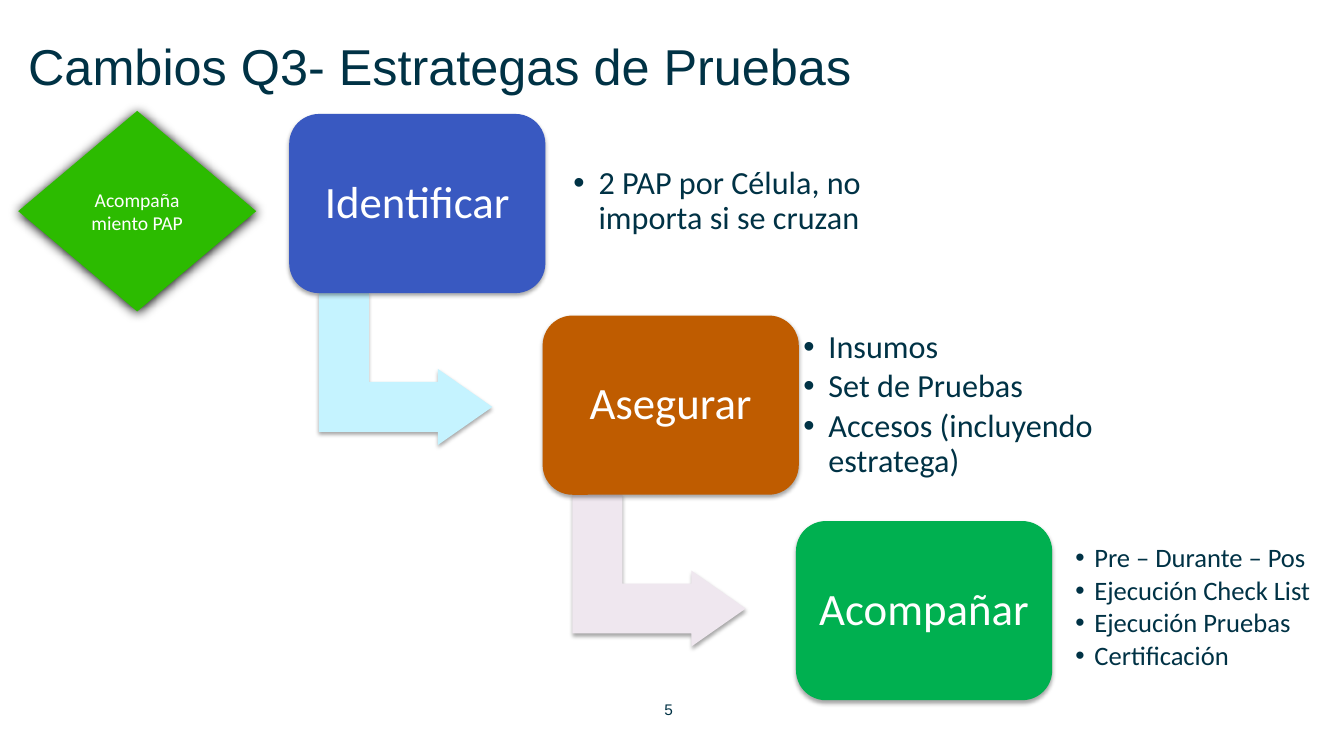
from lxml import etree
from pptx import Presentation
from pptx import util as u
from pptx.dml.color import RGBColor
from pptx.enum import shapes, text
from pptx.oxml.ns import qn

COLORS = {"ink": "003245", "white": "FFFFFF", "black": "000000", "diamond": "2CBB00",
          "blue": "3959C1", "orange": "BF5C00", "green": "00B050",
          "pale_blue": "C5F3FF", "pale_mauve": "EFE7EF"}
MID = text.MSO_ANCHOR.MIDDLE
CENTER = text.PP_ALIGN.CENTER
SHAPE = shapes.MSO_SHAPE


def write(tf, lines, size, font="Calibri", color="ink", align=None, anchor=MID,
          inset=(7.2, 3.6), wrap=True, spacing=None, after=0, bullet=0):
    """Fill a text frame with one paragraph per line; bullet is the hanging indent."""
    tf.word_wrap, tf.vertical_anchor = wrap, anchor
    tf.margin_left = tf.margin_right = u.Pt(inset[0])
    tf.margin_top = tf.margin_bottom = u.Pt(inset[1])
    for i, line in enumerate(lines):
        p = tf.add_paragraph() if i else tf.paragraphs[0]
        p.alignment, p.line_spacing, p.space_after = align, spacing, u.Pt(after)
        r = p.add_run()
        r.text = line
        r.font.size, r.font.name = u.Pt(size), font
        r.font.color.rgb = RGBColor.from_string(COLORS[color])
        if bullet:
            pPr = p._p.get_or_add_pPr()
            pPr.set("marL", str(u.Pt(bullet)))
            pPr.set("indent", str(-u.Pt(bullet)))
            etree.SubElement(pPr, qn("a:buFont"), typeface="Arial")
            etree.SubElement(pPr, qn("a:buChar"), char="•")


class Deck:
    SOFT = (35, 3.1, 1.8)  # shadow opacity in percent, blur, distance
    STRONG = (100, 8.5, 1)

    def __init__(self, width, height):
        self.prs = Presentation()
        self.prs.slide_width, self.prs.slide_height = u.Pt(width), u.Pt(height)
        self.s = self.prs.slides.add_slide(self.prs.slide_layouts[6])

    def label(self, box, lines, size, **fmt):
        sp = self.s.shapes.add_textbox(*map(u.Pt, box))
        write(sp.text_frame, lines, size, **fmt)

    def shape(self, kind, box, fill, shadow=SOFT, adj=(), rotation=0):
        sp = self.s.shapes.add_shape(kind, *map(u.Pt, box))
        sp.rotation = rotation
        for i, value in enumerate(adj):
            sp.adjustments[i] = value
        sp.fill.solid()
        sp.fill.fore_color.rgb = RGBColor.from_string(COLORS[fill])
        sp.line.fill.background()
        sp.shadow.inherit = False
        self.drop_shadow(sp, *shadow)
        return sp

    def drop_shadow(self, sp, opacity, blur, dist):
        effects = sp._element.spPr.find(qn("a:effectLst"))
        outer = etree.SubElement(effects, qn("a:outerShdw"), blurRad=str(u.Pt(blur)),
                                 dist=str(u.Pt(dist)), dir="5400000", rotWithShape="0")
        clr = etree.SubElement(outer, qn("a:srgbClr"), val=COLORS["black"])
        etree.SubElement(clr, qn("a:alpha"), val=str(opacity * 1000))

    def step(self, x, y, name, fill, arrow):
        """Rounded box, with a bent arrow from under it to the next step."""
        if arrow:
            self.shape(SHAPE.BENT_UP_ARROW, (x + 28.8, y + 120.2, 108.7, 123.8), arrow,
                       adj=(0.328, 0.25, 0.358), rotation=90)
        sp = self.shape(SHAPE.ROUNDED_RECTANGLE, (x, y, 183, 128), fill, adj=(0.167,))
        write(sp.text_frame, [name], 32, color="white", align=CENTER, spacing=0.9)

    def bullets(self, box, lines, size, inset, indent):
        self.label(box, lines, size, inset=(inset, inset), spacing=0.9,
                   after=round(size * 0.15, 1), bullet=indent)


deck = Deck(960, 540)

# Title, page number and topic
deck.label((474.5, 500.4, 22.3, 13.7), ["5"], 11, font="Arial", inset=(0, 0),
           wrap=False, anchor=text.MSO_ANCHOR.TOP)
deck.label((13, 13.7, 903, 65.5), ["Cambios Q3- Estrategas de Pruebas"], 36, font="Arial")
topic = deck.shape(SHAPE.DIAMOND, (13, 79.2, 170, 143.3), "diamond", shadow=Deck.STRONG)
write(topic.text_frame, ["Acompañamiento PAP"], 14, color="white", align=CENTER)

# Staircase: y, name, fill, arrow, then bullet box, lines, size, inset, indent
STEPS = [
    (81.4, "Identificar", "blue", "pale_blue", (401, 92.2, 256.3, 103.7),
     ["2 PAP por Célula, no importa si se cruzan"], 23, 8.6, 18),
    (225.4, "Asegurar", "orange", "pale_mauve", (565.2, 225.4, 290.9, 127.4),
     ["Insumos", "Set de Pruebas", "Accesos (incluyendo estratega)"], 23, 8.6, 18),
    (372.2, "Acompañar", "green", None, (761, 366.5, 187.2, 135.4),
     ["Pre – Durante – Pos", "Ejecución Check List", "Ejecución Pruebas",
      "Certificación"], 19, 7.2, 13.7),
]
for i, (y, name, fill, arrow, *details) in enumerate(STEPS):
    deck.step(206.6 + 181 * i, y, name, fill, arrow)
    deck.bullets(*details)

deck.prs.save("out.pptx")
